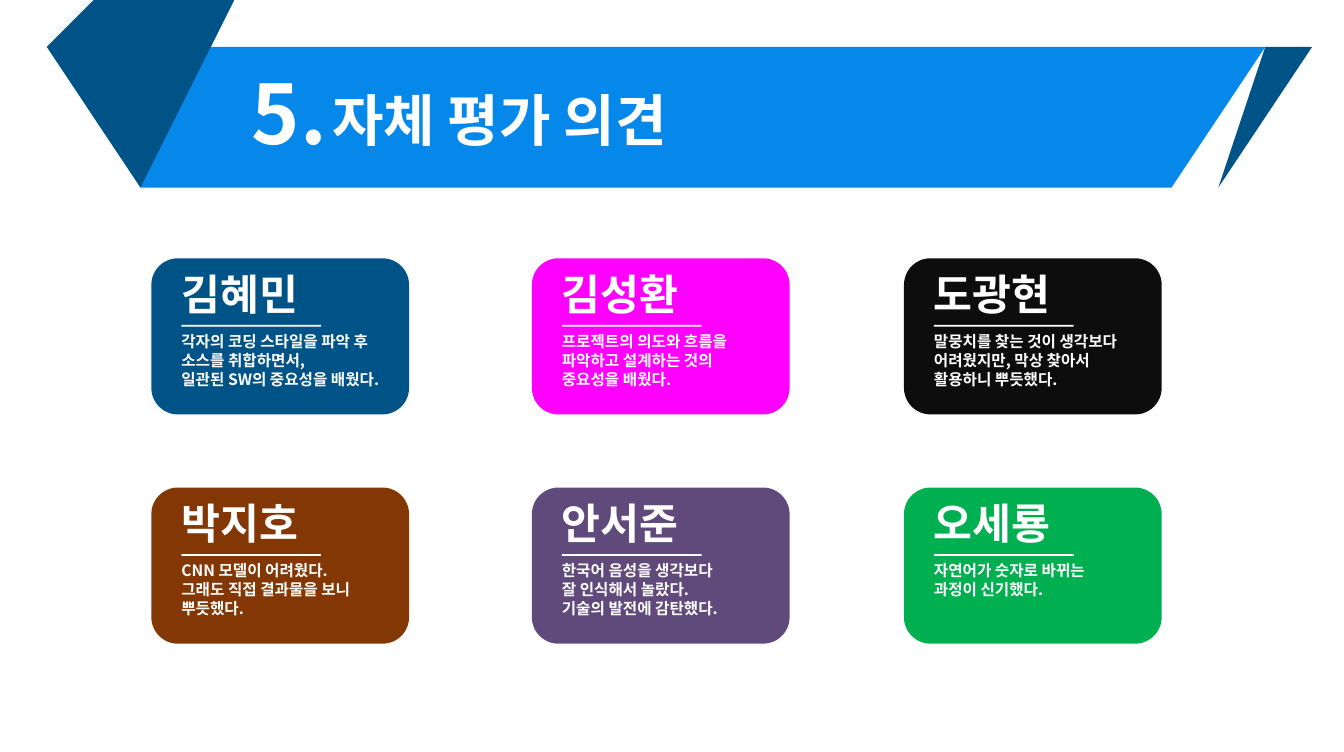
from dataclasses import dataclass

import pptx
import pptx.dml.color
import pptx.enum.shapes
import pptx.enum.text
import pptx.oxml.ns
import pptx.util
from lxml import etree

Inches = pptx.util.Inches
FONT = "Noto Sans CJK KR"
NAVY, BLUE, WHITE = "005386", "0688EB", "FFFFFF"
COLUMNS = (3.23, 11.35, 19.29)
ROWS = (5.51, 10.4)
CARD_W, CARD_H, CORNER, INDENT = 5.5, 3.33, 0.17, 0.64


@dataclass
class Card:
    name: str
    color: str
    opinion: tuple[str, ...]


@dataclass
class Band:
    color: str
    points: tuple[tuple[float, float], ...]


CARDS = (
    Card("김혜민", NAVY, ("각자의 코딩 스타일을 파악 후", "소스를 취합하면서,",
                       "일관된 SW의 중요성을 배웠다.")),
    Card("김성환", "FF00FF", ("프로젝트의 의도와 흐름을", "파악하고 설계하는 것의",
                           "중요성을 배웠다.")),
    Card("도광현", "0D0D0D", ("말뭉치를 찾는 것이 생각보다", "어려웠지만, 막상 찾아서",
                           "활용하니 뿌듯했다.")),
    Card("박지호", "823704", ("CNN 모델이 어려웠다.", "그래도 직접 결과물을 보니",
                           "뿌듯했다.")),
    Card("안서준", "604A7B", ("한국어 음성을 생각보다", "잘 인식해서 놀랐다.",
                           "기술의 발전에 감탄했다.")),
    Card("오세룡", "00B050", ("자연어가 숫자로 바뀌는", "과정이 신기했다.")),
)

BANDS = (
    Band(NAVY, ((27.19, 1.25), (25.69, 3.53), (26.18, 3.53), (27.68, 1.25))),
    Band(BLUE, ((2.56, 3.53), (25.19, 3.53), (26.68, 1.25), (1.06, 1.25))),
    Band(NAVY, ((2.56, 3.53), (1.06, 1.25), (1.88, 0), (4.87, 0))),
)


def rgb(color: str) -> pptx.dml.color.RGBColor:
    return pptx.dml.color.RGBColor.from_string(color)


def paint(sp, color: str) -> None:
    """Give a shape a flat fill with no outline or shadow."""
    sp.fill.solid()
    sp.fill.fore_color.rgb = rgb(color)
    sp.line.fill.background()
    sp.shadow.inherit = False


def add_block(s, kind, x: float, y: float, w: float, h: float, color: str):
    sp = s.shapes.add_shape(kind, Inches(x), Inches(y), Inches(w), Inches(h))
    paint(sp, color)
    return sp


def add_band(s, band: Band) -> None:
    start, *rest = band.points
    builder = s.shapes.build_freeform(*start, scale=Inches(1))
    builder.add_line_segments(rest, close=True)
    paint(builder.convert_to_shape(), band.color)


def write(sp, lines: tuple[str, ...], size: float) -> None:
    """Fill a text shape with bold white lines, one paragraph each."""
    tf = sp.text_frame
    frame = dict(margin_left=0, margin_right=0, margin_top=0, margin_bottom=0,
                 word_wrap=True, auto_size=pptx.enum.text.MSO_AUTO_SIZE.NONE,
                 vertical_anchor=pptx.enum.text.MSO_ANCHOR.TOP)
    for key, value in frame.items():
        setattr(tf, key, value)
    tf.text = "\n".join(lines)
    for p in tf.paragraphs:
        p.alignment = pptx.enum.text.PP_ALIGN.LEFT
        r = p.runs[0]
        for key, value in dict(name=FONT, size=pptx.util.Pt(size), bold=True).items():
            setattr(r.font, key, value)
        r.font.color.rgb = rgb(WHITE)
        ea = etree.SubElement(r.font.fill._xPr, pptx.oxml.ns.qn("a:ea"))
        ea.set("typeface", FONT)


def add_text(s, x: float, y: float, w: float, h: float,
             lines: tuple[str, ...], size: float) -> None:
    sp = s.shapes.add_textbox(Inches(x), Inches(y), Inches(w), Inches(h))
    write(sp, lines, size)


def add_card(s, card: Card, x: float, y: float) -> None:
    shapes = pptx.enum.shapes.MSO_SHAPE
    sp = add_block(s, shapes.ROUNDED_RECTANGLE, x, y, CARD_W, CARD_H, card.color)
    sp.adjustments[0] = CORNER
    left = x + INDENT
    add_text(s, left, y + 0.21, 2.62, 1.09, (card.name,), 65)
    add_block(s, shapes.RECTANGLE, left, y + 1.42, 2.98, 0.04, WHITE)
    add_text(s, left, y + 1.57, 4.8, 1.21, card.opinion, 24)


def add_heading(s) -> None:
    for band in BANDS:
        add_band(s, band)
    add_text(s, 5.37, 1.33, 1.67, 2.12, ("5.",), 126)
    title = s.shapes.title
    place = dict(left=7.09, top=1.82, width=7.65, height=1.45)
    for key, value in place.items():
        setattr(title, key, Inches(value))
    write(title, ("자체 평가 의견",), 86)
    s.shapes.element.append(title.element)  # bring the title in front of the bands


def main() -> None:
    prs = pptx.Presentation()
    prs.slide_width, prs.slide_height = Inches(28.68), Inches(16.04)
    s = prs.slides.add_slide(prs.slide_layouts[5])
    add_heading(s)
    for i, card in enumerate(CARDS):
        row, column = divmod(i, len(COLUMNS))
        add_card(s, card, COLUMNS[column], ROWS[row])
    prs.save("out.pptx")


if __name__ == "__main__":
    main()
